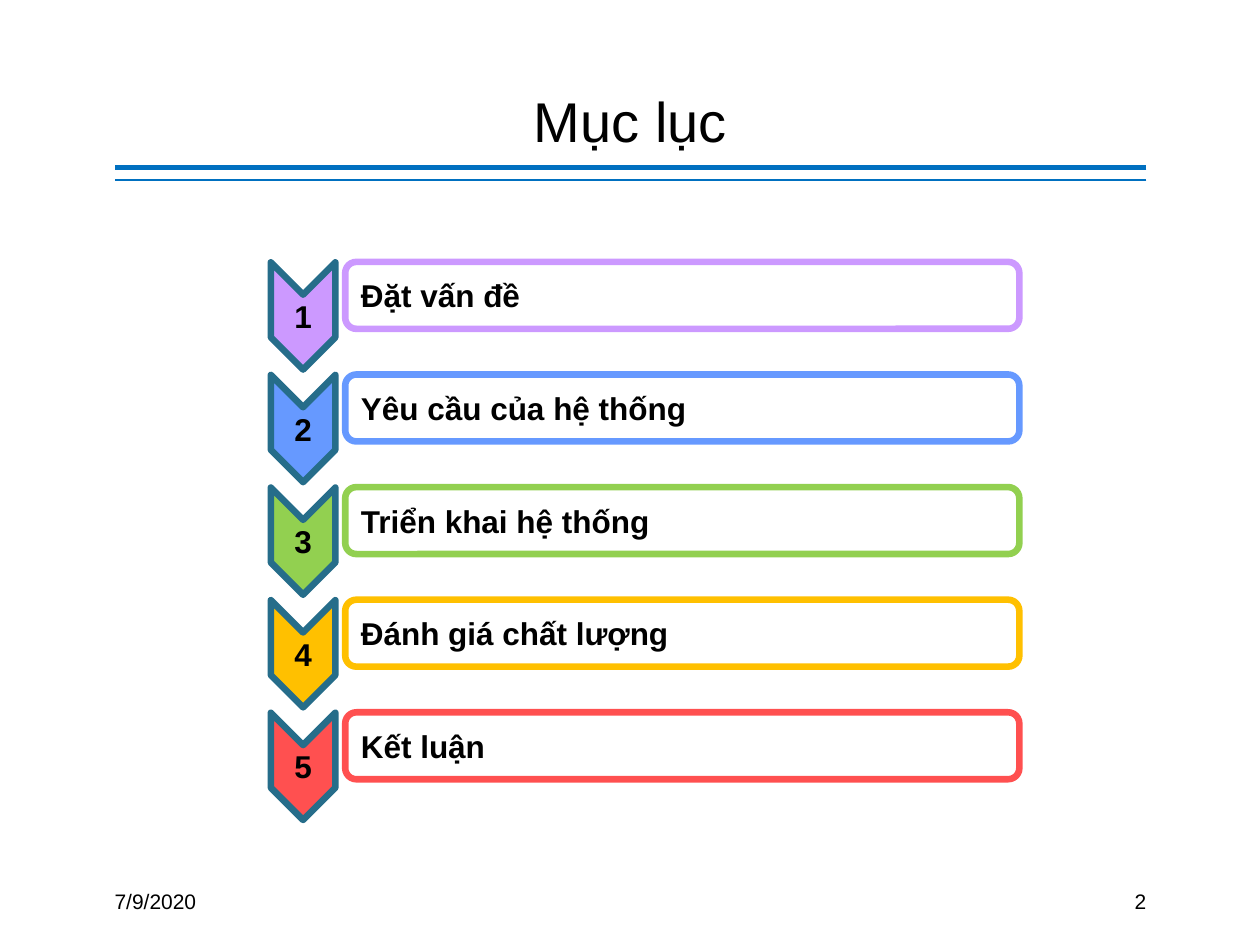
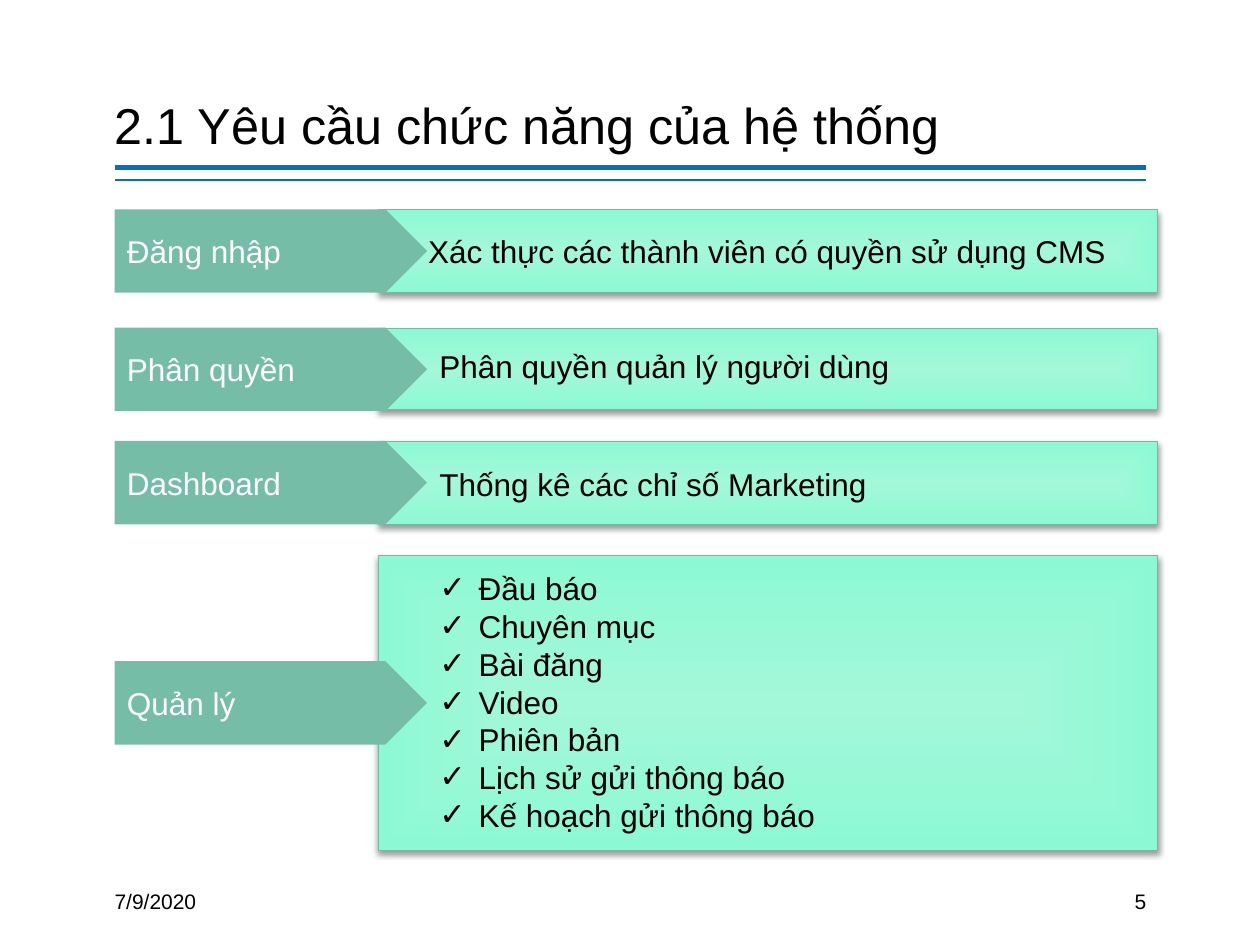
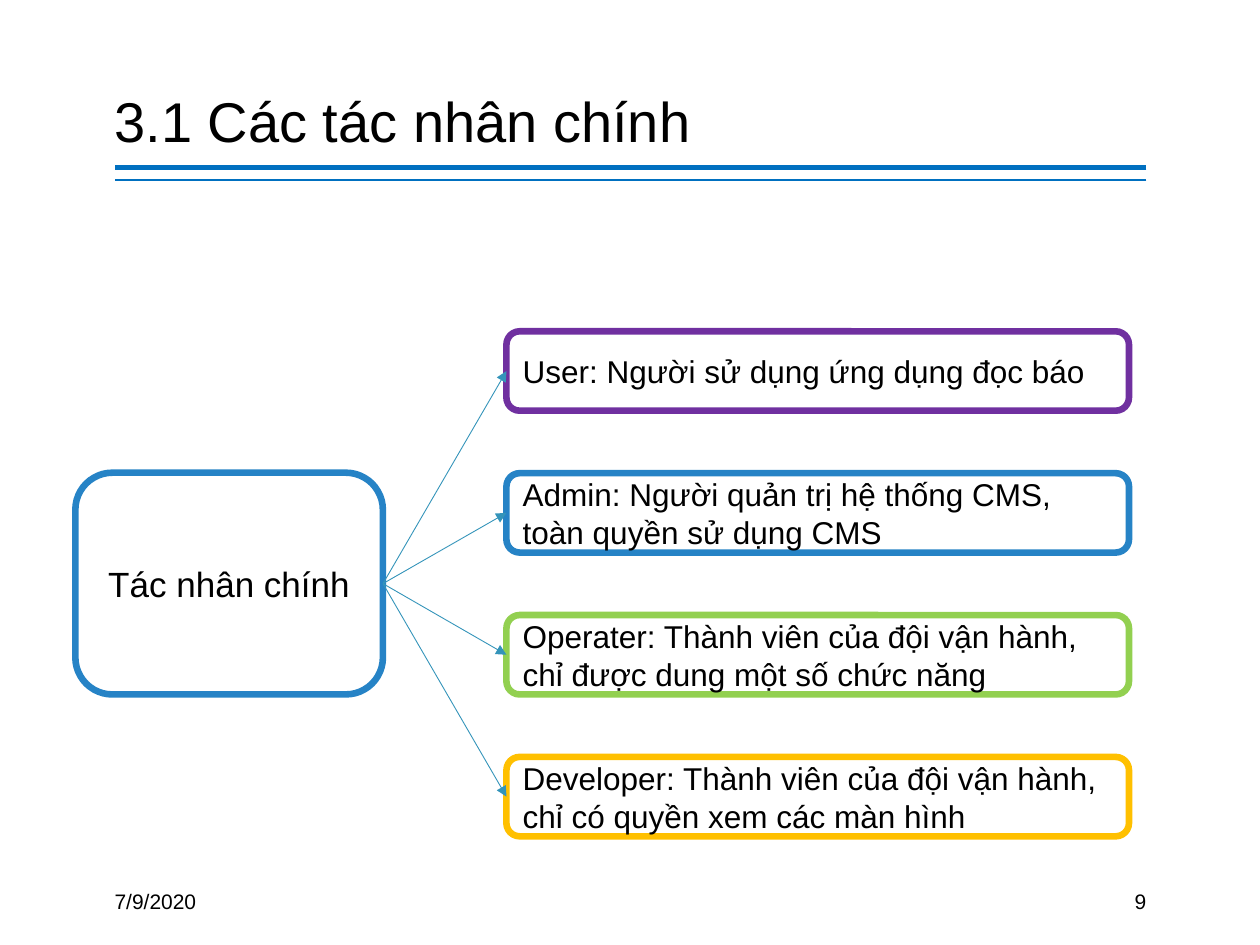
from typing import NamedTuple, Optional

import pptx
import pptx.dml.color
import pptx.enum.shapes
import pptx.enum.text
import pptx.oxml
import pptx.oxml.ns
import pptx.util
from pptx.dml.color import RGBColor
from pptx.enum.shapes import MSO_CONNECTOR, MSO_SHAPE
from pptx.enum.text import MSO_ANCHOR, MSO_AUTO_SIZE, PP_ALIGN
from pptx.util import Cm

FONT = "Arial"
DATE = "7/9/2020"
BLACK = RGBColor(0x00, 0x00, 0x00)
WHITE = RGBColor(0xFF, 0xFF, 0xFF)
RULE_BLUE = RGBColor(0x00, 0x70, 0xC0)
CHEVRON_EDGE = RGBColor(0x26, 0x6D, 0x8A)
LILAC = RGBColor(0xCC, 0x99, 0xFF)
SKY = RGBColor(0x66, 0x99, 0xFF)
GREEN = RGBColor(0x92, 0xD0, 0x50)
AMBER = RGBColor(0xFF, 0xC0, 0x00)
RED = RGBColor(0xFF, 0x50, 0x50)
PURPLE = RGBColor(0x70, 0x30, 0xA0)
BLUE = RGBColor(0x26, 0x83, 0xC6)
ARROW_TEAL = RGBColor(0x34, 0x94, 0xBA)
TAG_GREEN = RGBColor(0x75, 0xBD, 0xA7)
PANEL_EDGE = RGBColor(0x71, 0xBB, 0xA4)
PANEL_INNER = RGBColor(0xA3, 0xF8, 0xDA)
PANEL_OUTER = RGBColor(0x8D, 0xF9, 0xD4)

MARGIN = 2.31
CONTENT_WIDTH = 20.8
TITLE_BOTTOM = 3.25
THICK_LINE = 3.78


class Box(NamedTuple):
    left: float
    top: float
    width: float
    height: float


class Style(NamedTuple):
    size: float = 18
    color: RGBColor = BLACK
    bold: bool = False
    align: PP_ALIGN = PP_ALIGN.LEFT


class Entry(NamedTuple):
    text: str
    color: RGBColor


class Feature(NamedTuple):
    name: str
    top: float
    height: float
    text_left: float
    text_top: float
    lines: list[str]


CONTENTS = [
    Entry("Đặt vấn đề", LILAC),
    Entry("Yêu cầu của hệ thống", SKY),
    Entry("Triển khai hệ thống", GREEN),
    Entry("Đánh giá chất lượng", AMBER),
    Entry("Kết luận", RED),
]

FEATURES = [
    Feature("Quản lý", 11.2, 5.94, 8.61, 11.35, [
        "Đầu báo", "Chuyên mục", "Bài đăng", "Video", "Phiên bản",
        "Lịch sử gửi thông báo", "Kế hoạch gửi thông báo"]),
    Feature("Dashboard", 8.89, 1.68, 8.61, 9.25, ["Thống kê các chỉ số Marketing"]),
    Feature("Phân quyền", 6.63, 1.63, 8.61, 6.88, ["Phân quyền quản lý người dùng"]),
    Feature("Đăng nhập", 4.22, 1.68, 8.38, 4.55,
            ["Xác thực các thành viên có quyền sử dụng CMS"]),
]

ACTORS = [
    Entry("User: Người sử dụng ứng dụng đọc báo", PURPLE),
    Entry("Admin: Người quản trị hệ thống CMS, toàn quyền sử dụng CMS", BLUE),
    Entry("Operater: Thành viên của đội vận hành, chỉ được dung một số chức năng", GREEN),
    Entry("Developer: Thành viên của đội vận hành, chỉ có quyền xem các màn hình", AMBER),
]


def add_xml(parent, tag: str, **attributes: str):
    child = pptx.oxml.parse_xml(f"<{tag} {pptx.oxml.ns.nsdecls('a')}/>")
    for name, value in attributes.items():
        child.set(name, value)
    parent.append(child)
    return child


def write(sp, lines: list[str], style: Style, anchor: MSO_ANCHOR,
          bullet: str = "") -> None:
    tf = sp.text_frame
    tf.word_wrap = True
    tf.auto_size = MSO_AUTO_SIZE.NONE
    tf.vertical_anchor = anchor
    tf.text = "\n".join(lines)
    for p in tf.paragraphs:
        p.alignment = style.align
        if bullet:
            pPr = p._p.get_or_add_pPr()
            indent = Cm(0.79)
            pPr.set("marL", str(indent))
            pPr.set("indent", str(-indent))
            add_xml(pPr, "a:buFont", typeface=FONT)
            add_xml(pPr, "a:buChar", char=bullet)
        p.font.name = FONT
        p.font.size = pptx.util.Pt(style.size)
        p.font.bold = style.bold
        p.font.color.rgb = style.color


def flush_sides(sp) -> None:
    sp.text_frame.margin_left = sp.text_frame.margin_right = 0


def add_text(s, box: Box, lines: list[str], style: Style,
             anchor: MSO_ANCHOR = MSO_ANCHOR.TOP, bullet: str = ""):
    sp = s.shapes.add_textbox(*map(Cm, box))
    write(sp, lines, style, anchor, bullet)
    return sp


def add_shape(s, kind: MSO_SHAPE, box: Box, fill: Optional[RGBColor] = None,
              line: Optional[RGBColor] = None, width: float = THICK_LINE):
    sp = s.shapes.add_shape(kind, *map(Cm, box))
    sp.shadow.inherit = False
    if fill is None:
        sp.fill.background()
    else:
        sp.fill.solid()
        sp.fill.fore_color.rgb = fill
    if line is None:
        sp.line.fill.background()
    else:
        sp.line.color.rgb = line
        sp.line.width = pptx.util.Pt(width)
    return sp


def add_line(s, color: RGBColor, width: float, x1: float = 0, y1: float = 0,
             x2: float = 0, y2: float = 0):
    line = s.shapes.add_connector(MSO_CONNECTOR.STRAIGHT, *map(Cm, (x1, y1, x2, y2)))
    line.line.color.rgb = color
    line.line.width = pptx.util.Pt(width)
    add_xml(line._element.spPr, "a:effectLst")
    return line


def add_slide(prs, title: str, number: int, title_height: float,
              style: Style):
    s = prs.slides.add_slide(prs.slide_layouts[5])
    right = MARGIN + CONTENT_WIDTH
    for y, width in ((3.38, 3), (3.63, 1)):
        add_line(s, RULE_BLUE, width, right, y, MARGIN, y)
    sp = s.shapes.title
    sp.left, sp.top, sp.width, sp.height = map(
        Cm, (MARGIN, TITLE_BOTTOM - title_height, CONTENT_WIDTH, title_height))
    write(sp, [title], style, MSO_ANCHOR.BOTTOM)
    flush_sides(sp)
    sp.text_frame.paragraphs[0].line_spacing = 0.9
    footer_width = 3.81
    for text, left, align in ((DATE, MARGIN, PP_ALIGN.LEFT),
                              (str(number), right - footer_width, PP_ALIGN.RIGHT)):
        flush_sides(add_text(s, Box(left, 17.65, footer_width, 1.02), [text],
                             Style(12, align=align), MSO_ANCHOR.MIDDLE))
    return s


def style_panel(sp) -> None:
    sp.fill.gradient()
    for stop, color in zip(sp.fill.gradient_stops, (PANEL_INNER, PANEL_OUTER)):
        stop.color.rgb = color
    spPr = sp._element.spPr
    grad = spPr.find(pptx.oxml.ns.qn("a:gradFill"))
    grad.remove(grad.find(pptx.oxml.ns.qn("a:lin")))
    center = add_xml(grad, "a:path", path="rect")
    add_xml(center, "a:fillToRect", l="50000", t="50000", r="50000", b="50000")
    effects = spPr.find(pptx.oxml.ns.qn("a:effectLst"))
    shadow = add_xml(effects, "a:outerShdw", blurRad=str(pptx.util.Pt(3.5)),
                     dist=str(pptx.util.Pt(2)), dir="5400000", algn="ctr",
                     rotWithShape="0")
    add_xml(add_xml(shadow, "a:srgbClr", val=str(BLACK)), "a:alpha", val="38000")


def build_contents(prs) -> None:
    s = add_slide(prs, "Mục lục", 2, 3.05, Style(32, align=PP_ALIGN.CENTER))
    step = 2.27
    for i, entry in enumerate(CONTENTS):
        bar = add_shape(s, MSO_SHAPE.ROUNDED_RECTANGLE,
                        Box(6.96, 5.28 + i * step, 13.59, 1.35), line=entry.color)
        write(bar, [entry.text], Style(bold=True), MSO_ANCHOR.MIDDLE)
        chevron = add_shape(s, MSO_SHAPE.CHEVRON, Box(5.03, 5.72 + i * step, 2.16, 1.3),
                            entry.color, CHEVRON_EDGE)
        chevron.rotation = 90
        write(chevron, [str(i + 1)], Style(bold=True, align=PP_ALIGN.CENTER),
              MSO_ANCHOR.MIDDLE)
        chevron.text_frame._txBody.bodyPr.set("vert", "vert270")


def build_features(prs) -> None:
    s = add_slide(prs, "2.1 Yêu cầu chức năng của hệ thống", 5, 1.35, Style(28.8))
    tag_height = 1.68
    for f in FEATURES:
        panel = add_shape(s, MSO_SHAPE.FLOWCHART_PROCESS,
                          Box(7.62, f.top, 15.72, f.height), line=PANEL_EDGE, width=0.5)
        style_panel(panel)
        tag_top = f.top + (f.height - tag_height) / 2
        tag = add_shape(s, MSO_SHAPE.PENTAGON, Box(MARGIN, tag_top, 6.3, tag_height),
                        TAG_GREEN)
        write(tag, [f.name], Style(color=WHITE), MSO_ANCHOR.MIDDLE)
        text_height = 0.25 + 0.76 * len(f.lines)
        add_text(s, Box(f.text_left, f.text_top, 14.48, text_height), f.lines, Style(),
                 bullet="✓" if len(f.lines) > 1 else "")


def build_actors(prs) -> None:
    s = add_slide(prs, "3.1 Các tác nhân chính", 9, 2.62, Style(32))
    bars = []
    for i, actor in enumerate(ACTORS):
        bar = add_shape(s, MSO_SHAPE.ROUNDED_RECTANGLE,
                        Box(10.21, 6.68 + i * 2.86, 12.55, 1.6), WHITE, actor.color)
        write(bar, [actor.text], Style(), MSO_ANCHOR.MIDDLE)
        bars.append(bar)
    hub = add_shape(s, MSO_SHAPE.ROUNDED_RECTANGLE, Box(1.52, 9.53, 6.2, 4.47), WHITE, BLUE)
    write(hub, ["Tác nhân chính"], Style(20, align=PP_ALIGN.CENTER), MSO_ANCHOR.MIDDLE)
    for bar in bars:
        arrow = add_line(s, ARROW_TEAL, 0.5)
        arrow.begin_connect(hub, 3)
        arrow.end_connect(bar, 1)
        add_xml(arrow.line._get_or_add_ln(), "a:tailEnd", type="triangle")


def main() -> None:
    prs = pptx.Presentation()
    prs.slide_width, prs.slide_height = Cm(25.4), Cm(19.05)
    build_contents(prs)
    build_features(prs)
    build_actors(prs)
    prs.save("out.pptx")


if __name__ == "__main__":
    main()
